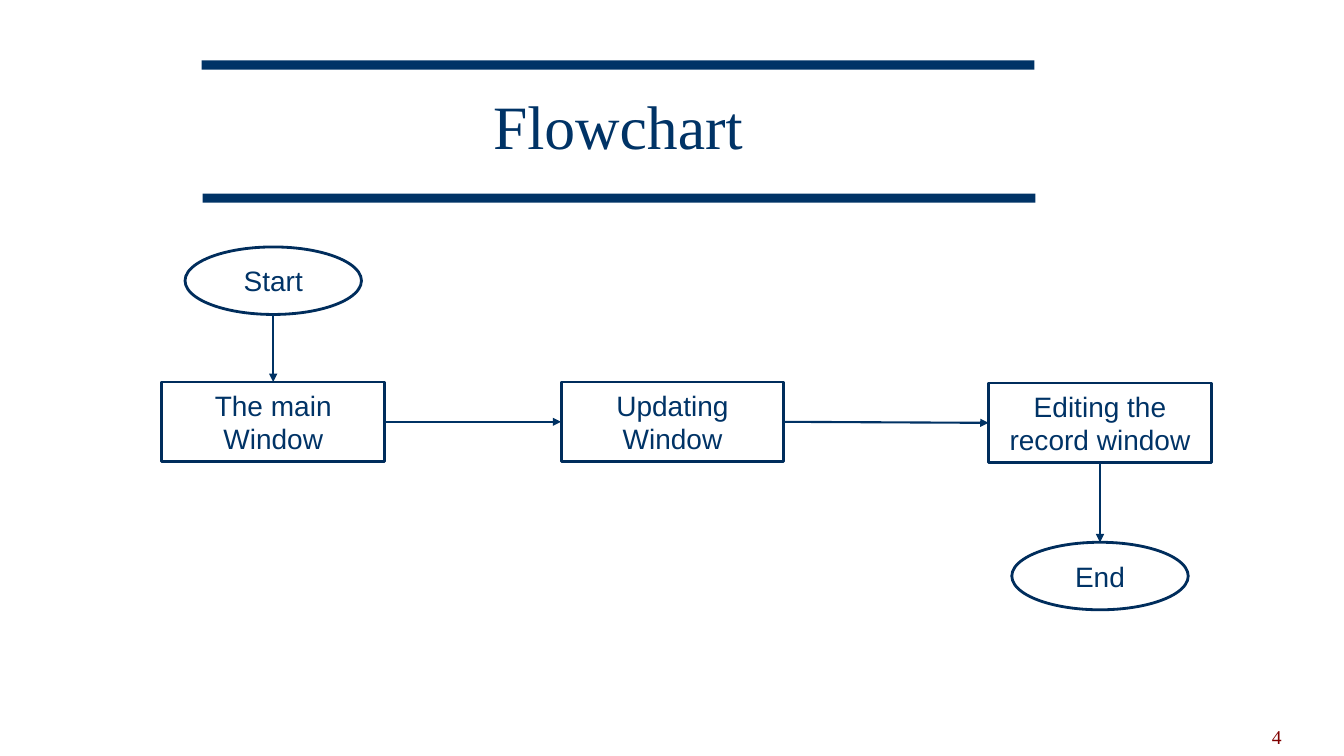
"""Build the flowchart slide with its title band, five nodes and four arrows."""
from lxml.etree import SubElement
from pptx import Presentation
from pptx.dml.color import RGBColor
from pptx.enum.shapes import MSO_CONNECTOR, MSO_SHAPE
from pptx.enum.text import MSO_ANCHOR, PP_ALIGN
from pptx.oxml.ns import qn
from pptx.util import Inches, Pt

HUES = {"navy": "003366", "edge": "002D5C", "arrow": "003264",
        "paper": "FFFFFF", "page": "800000"}


def hue(name):
    return RGBColor.from_string(HUES[name])


def write(shape, text, size, face, color, align, anchor):
    frame = shape.text_frame
    frame.word_wrap = True
    frame.vertical_anchor = anchor
    para = frame.paragraphs[0]
    para.text = text
    para.alignment = align
    para.font.size = Pt(size)
    para.font.name = face
    para.font.color.rgb = hue(color)
    return para


deck = Presentation()
deck.slide_width, deck.slide_height = Inches(13.33), Inches(7.5)
slide = deck.slides.add_slide(deck.slide_layouts[5])
shapes = slide.shapes

for left, top in ((2, 0.6), (2.01, 1.92)):
    bar = shapes.add_shape(MSO_SHAPE.RECTANGLE, Inches(left), Inches(top),
                           Inches(8.26), Inches(0.09))
    bar.shadow.inherit = False
    bar.fill.solid()
    bar.fill.fore_color.rgb = hue("navy")
    bar.line.fill.background()

title = shapes.title
title.left, title.top = Inches(2), Inches(0.67)
title.width, title.height = Inches(8.26), Inches(1.25)
head = write(title, "Flowchart", 44, "Times New Roman", "navy",
             PP_ALIGN.CENTER, MSO_ANCHOR.MIDDLE)
head.line_spacing = 0.85

page = shapes.add_textbox(Inches(9.61), Inches(6.97), Inches(3.2), Inches(0.5))
write(page, "4", 14, "Times New Roman", "page", PP_ALIGN.RIGHT, MSO_ANCHOR.BOTTOM)

SIZES = {MSO_SHAPE.RECTANGLE: (2.21, 0.79), MSO_SHAPE.OVAL: (1.75, 0.67)}
COLS = (2.71, 6.67, 10.91)
STEPS = (
    ("Start", MSO_SHAPE.OVAL, COLS[0], 2.45),
    ("The main Window", MSO_SHAPE.RECTANGLE, COLS[0], 3.79),
    ("Updating Window", MSO_SHAPE.RECTANGLE, COLS[1], 3.79),
    ("Editing the record window", MSO_SHAPE.RECTANGLE, COLS[2], 3.8),
    ("End", MSO_SHAPE.OVAL, COLS[2], 5.38),
)
nodes = []
for text, kind, mid, top in STEPS:
    wide, high = SIZES[kind]
    node = shapes.add_shape(kind, Inches(mid - wide / 2), Inches(top),
                            Inches(wide), Inches(high))
    node.shadow.inherit = False
    node.fill.solid()
    node.fill.fore_color.rgb = hue("paper")
    node.line.color.rgb = hue("edge")
    node.line.width = Pt(2)
    write(node, text, 20, "Arial", "navy", PP_ALIGN.CENTER, MSO_ANCHOR.MIDDLE)
    nodes.append(node)

TOP, LEFT, BASE, RIGHT = range(4)
OVAL_BASE = 4
start, main, update, edit, end = nodes
LINKS = ((start, OVAL_BASE, main, TOP), (main, RIGHT, update, LEFT),
         (update, RIGHT, edit, LEFT), (edit, BASE, end, TOP))
for tail, out, goal, into in LINKS:
    link = shapes.add_connector(MSO_CONNECTOR.STRAIGHT,
                                tail.left + tail.width // 2, tail.top + tail.height,
                                goal.left, goal.top)
    if out != OVAL_BASE:
        link.begin_connect(tail, out)
    link.end_connect(goal, into)
    link.line.color.rgb = hue("arrow")
    link.line.width = Pt(1.5)
    SubElement(link.line._get_or_add_ln(), qn("a:tailEnd"), type="triangle")
    SubElement(link._element.spPr, qn("a:effectLst"))

deck.save("out.pptx")
